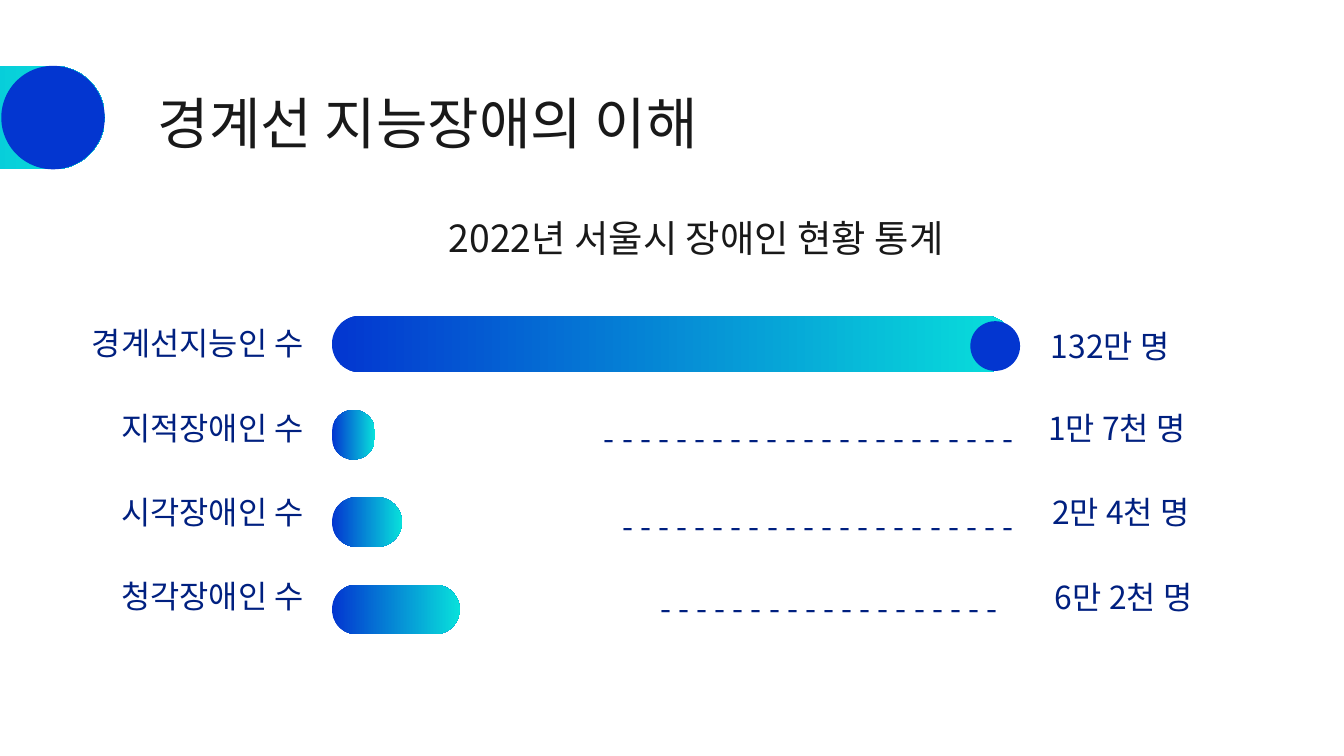
from pptx import Presentation
from pptx.dml.color import RGBColor
from pptx.enum.shapes import MSO_SHAPE
from pptx.enum.text import MSO_ANCHOR, PP_ALIGN
from pptx.oxml.ns import qn
from pptx.util import Inches, Pt
from lxml.etree import SubElement

FONT = "Noto Sans CJK KR"
COLORS = {"blue": "0336D0", "teal": "08E0DB", "navy": "002080", "ink": "191919"}
LABEL_SIZE = 17
LABEL_HEIGHT = 0.44

# label, label box, bar box, value, value box, dash count, dash box
# boxes are left, top, width, height relative to the chart area
ROWS = [
    ("경계선지능인 수", (0, 0, 2.43, LABEL_HEIGHT), (2.54, 0.02, 5.07, 0.42),
     "132만 명", (6.44, 0.02, 2.43, LABEL_HEIGHT), 0, None),
    ("지적장애인 수", (0.79, 0.63, 1.64, LABEL_HEIGHT), (2.54, 0.72, 0.32, 0.37),
     "1만 7천 명", (7.35, 0.63, 1.64, LABEL_HEIGHT), 23, (2.7, 0.78, 5.07, 0.29)),
    ("시각장애인 수", (0.79, 1.26, 1.64, LABEL_HEIGHT), (2.54, 1.37, 0.52, 0.37),
     "2만 4천 명", (7.38, 1.26, 1.64, LABEL_HEIGHT), 22, (2.7, 1.44, 5.07, 0.29)),
    ("청각장애인 수", (0.79, 1.88, 1.64, LABEL_HEIGHT), (2.54, 2.02, 0.95, 0.37),
     "6만 2천 명", (7.4, 1.89, 1.64, LABEL_HEIGHT), 19, (2.58, 2.05, 5.07, 0.29)),
]


def add_text(slide, box, text, size, color, align=PP_ALIGN.RIGHT, anchor=MSO_ANCHOR.MIDDLE):
    frame = slide.shapes.add_textbox(*map(Inches, box)).text_frame
    frame.word_wrap = True
    frame.vertical_anchor = anchor
    frame.margin_left = frame.margin_right = Inches(0.1)
    frame.margin_top = frame.margin_bottom = Inches(0.1)
    paragraph = frame.paragraphs[0]
    paragraph.text = text
    paragraph.alignment = align
    font = paragraph.font
    font.name = FONT
    font.size = Pt(size)
    font.color.rgb = RGBColor.from_string(COLORS[color])
    # Korean text takes its typeface from the East Asian font
    properties = paragraph._p.pPr.find(qn("a:defRPr"))
    SubElement(properties, qn("a:ea")).set("typeface", FONT)


def add_plain_shape(slide, kind, box):
    shape = slide.shapes.add_shape(kind, *map(Inches, box))
    shape.shadow.inherit = False
    shape.line.fill.background()
    return shape


def add_gradient_bar(slide, box):
    bar = add_plain_shape(slide, MSO_SHAPE.ROUNDED_RECTANGLE, box)
    bar.adjustments[0] = 0.5
    bar.fill.gradient()
    bar.fill.gradient_angle = 0
    for stop, color in zip(bar.fill.gradient_stops, ("blue", "teal")):
        stop.color.rgb = RGBColor.from_string(COLORS[color])


def add_dot(slide, box):
    dot = add_plain_shape(slide, MSO_SHAPE.OVAL, box)
    dot.fill.solid()
    dot.fill.fore_color.rgb = RGBColor.from_string(COLORS["blue"])


def add_header(slide, left, top):
    diameter = 0.77
    add_gradient_bar(slide, (left - 6.22, top, 6.99, diameter))
    add_dot(slide, (left, top, diameter, diameter))
    add_text(slide, (left - 1.04, top + 0.07, 8.43, 0.62), "경계선 지능장애의 이해",
             30, "ink", PP_ALIGN.CENTER, MSO_ANCHOR.TOP)


def add_statistics(slide, left, top):
    def place(box):
        return (left + box[0], top + box[1], *box[2:])

    add_text(slide, place((2.95, -0.73, 4.24, 0.34)), "2022년 서울시 장애인 현황 통계", 20, "ink")
    for label, label_box, bar_box, value, value_box, dashes, dash_box in ROWS:
        add_text(slide, place(label_box), label, LABEL_SIZE, "navy")
        add_gradient_bar(slide, place(bar_box))
        add_text(slide, place(value_box), value, LABEL_SIZE, "navy")
        if dashes:
            add_text(slide, place(dash_box), "- " * dashes, LABEL_SIZE, "navy")
    add_dot(slide, place((7.29, 0.06, 0.37, 0.37)))


def main():
    presentation = Presentation()
    presentation.slide_width = Inches(10)
    presentation.slide_height = Inches(10) * 9 // 16
    slide = presentation.slides.add_slide(presentation.slide_layouts[6])
    add_header(slide, 0.01, 0.49)
    add_statistics(slide, -0.07, 2.33)
    presentation.save("out.pptx")


if __name__ == "__main__":
    main()
